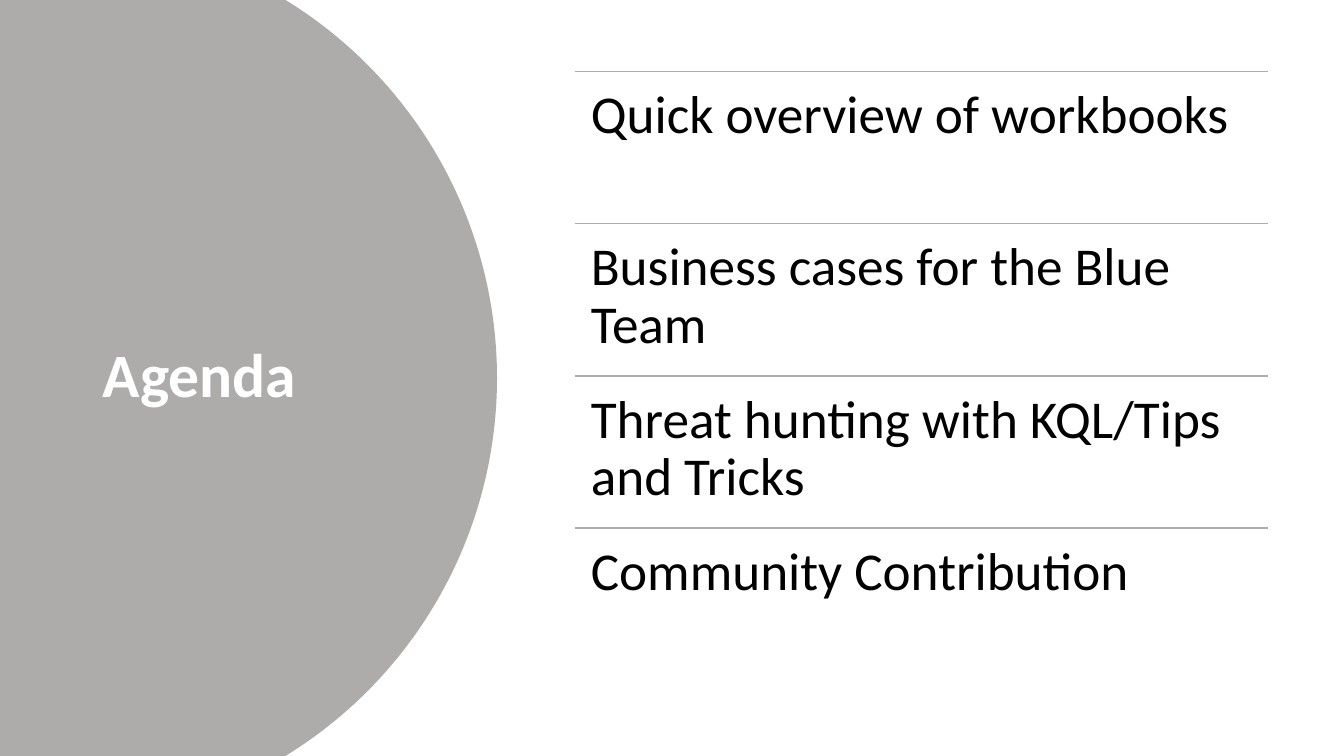
import dataclasses
import math

import pptx
import pptx.dml.color
import pptx.enum.shapes
import pptx.enum.text
import pptx.oxml.ns
import pptx.presentation
import pptx.shapes.group
import pptx.slide
import pptx.text.text
import pptx.util
from lxml import etree

EMU_PER_PX = 9144
PAGE_WIDTH, PAGE_HEIGHT = 1333, 750
FONT_NAME = "Calibri"
GREY = pptx.dml.color.RGBColor(0xAE, 0xAB, 0xAB)
WHITE = pptx.dml.color.RGBColor(0xFF, 0xFF, 0xFF)
BLACK = pptx.dml.color.RGBColor(0x00, 0x00, 0x00)

DISC_CENTRE_X, DISC_RADIUS = 53, 440
ARC_STEPS = 120
ROW_LEFT, ROW_TOP, ROW_WIDTH, ROW_HEIGHT = 570, 71, 688, 151
ROW_INSET = 16


@dataclasses.dataclass(frozen=True)
class TextStyle:
    size: int
    color: pptx.dml.color.RGBColor
    bold: bool
    space_after: int


@dataclasses.dataclass(frozen=True)
class AgendaRow:
    text: str
    top: int


TITLE_STYLE = TextStyle(44, WHITE, True, 6)
ROW_STYLE = TextStyle(38, BLACK, False, 13)
TOPICS = (
    "Quick overview of workbooks",
    "Business cases for the Blue Team",
    "Threat hunting with KQL/Tips and Tricks",
    "Community Contribution",
)
ROWS = [AgendaRow(topic, ROW_TOP + index * ROW_HEIGHT) for index, topic in enumerate(TOPICS)]


def px(length: float) -> pptx.util.Emu:
    return pptx.util.Emu(round(length * EMU_PER_PX))


def write(frame: pptx.text.text.TextFrame, text: str, style: TextStyle) -> None:
    frame.word_wrap = True
    frame.auto_size = pptx.enum.text.MSO_AUTO_SIZE.NONE
    para = frame.paragraphs[0]
    para.alignment = pptx.enum.text.PP_ALIGN.LEFT
    para.line_spacing = 0.9
    para.space_before = pptx.util.Pt(0)
    para.space_after = pptx.util.Pt(style.space_after)
    span = para.add_run()
    span.text = text
    span.font.name = FONT_NAME
    span.font.size = pptx.util.Pt(style.size)
    span.font.bold = style.bold
    span.font.color.rgb = style.color


def draw_disc(page: pptx.slide.Slide) -> None:
    middle = PAGE_HEIGHT / 2
    half_angle = math.asin(middle / DISC_RADIUS)
    angles = [half_angle * (2 * step / ARC_STEPS - 1) for step in range(ARC_STEPS + 1)]
    outline = [
        (px(DISC_CENTRE_X + DISC_RADIUS * math.cos(angle)), px(middle + DISC_RADIUS * math.sin(angle)))
        for angle in angles
    ]
    builder = page.shapes.build_freeform(0, 0)
    builder.add_line_segments(outline + [(0, px(PAGE_HEIGHT))], close=True)
    disc = builder.convert_to_shape()
    disc.shadow.inherit = False
    disc.fill.solid()
    disc.fill.fore_color.rgb = GREY
    disc.line.fill.background()


def place_title(page: pptx.slide.Slide) -> None:
    title = page.shapes.title
    title.left, title.top, title.width, title.height = px(92), px(70), px(323), px(609)
    title.text_frame.vertical_anchor = pptx.enum.text.MSO_ANCHOR.MIDDLE
    write(title.text_frame, "Agenda", TITLE_STYLE)
    title.element.getparent().append(title.element)


def draw_row(group: pptx.shapes.group.GroupShape, row: AgendaRow) -> None:
    rule = group.shapes.add_connector(
        pptx.enum.shapes.MSO_CONNECTOR.STRAIGHT,
        px(ROW_LEFT), px(row.top), px(ROW_LEFT + ROW_WIDTH), px(row.top),
    )
    rule.line.color.rgb = GREY
    rule.line.width = pptx.util.Pt(1)
    etree.SubElement(rule.element.spPr, pptx.oxml.ns.qn("a:effectLst"))

    box = group.shapes.add_textbox(px(ROW_LEFT), px(row.top), px(ROW_WIDTH), px(ROW_HEIGHT))
    frame = box.text_frame
    frame.margin_left = frame.margin_right = px(ROW_INSET)
    frame.margin_top = frame.margin_bottom = px(ROW_INSET)
    frame.vertical_anchor = pptx.enum.text.MSO_ANCHOR.TOP
    write(frame, row.text, ROW_STYLE)


def build_deck() -> pptx.presentation.Presentation:
    deck = pptx.Presentation()
    deck.slide_width, deck.slide_height = px(PAGE_WIDTH), px(PAGE_HEIGHT)
    page = deck.slides.add_slide(deck.slide_layouts.get_by_name("Title Only"))
    draw_disc(page)
    place_title(page)
    agenda = page.shapes.add_group_shape()
    for row in ROWS:
        draw_row(agenda, row)
    return deck


def main() -> None:
    build_deck().save("out.pptx")


if __name__ == "__main__":
    main()
